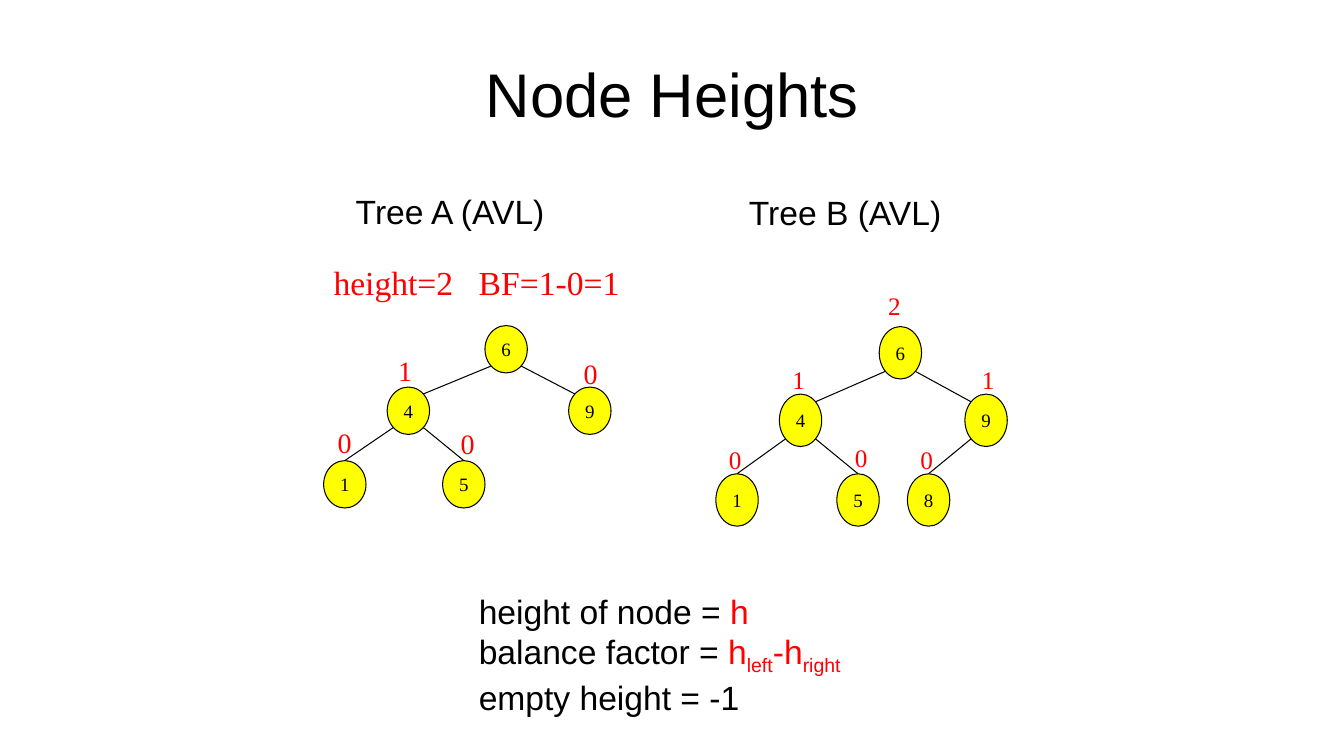
import pptx
import pptx.util
import pptx.dml.color
import pptx.enum.shapes
import pptx.enum.text
import pptx.oxml
from lxml import etree

BLACK = pptx.dml.color.RGBColor(0, 0, 0)
RED = pptx.dml.color.RGBColor(255, 0, 0)
YELLOW = pptx.dml.color.RGBColor(255, 255, 0)
SANS, SERIF = "Arial", "Times New Roman"
CELL = pptx.util.Inches(0.1)
NODE_WIDTH = 4.2
DIAGONAL = 0.354
MAIN_NS = "http://schemas.openxmlformats.org/drawingml/2006/main"


class Board:
    """Draws text and trees on a slide, measured in tenth-inch grid cells."""

    def __init__(self, slide):
        self.shapes = slide.shapes

    def cells(self, *counts):
        return [round(count * CELL) for count in counts]

    def style(self, par, size, face, color):
        par.font.size = pptx.util.Pt(size)
        par.font.name = face
        par.font.color.rgb = color

    def text(self, place, lines, size, face=SANS, color=BLACK, tab=None):
        frame = self.shapes.add_textbox(*self.cells(*place)).text_frame
        frame.word_wrap = True
        for index, line in enumerate(lines):
            par = frame.add_paragraph() if index else frame.paragraphs[0]
            if tab:
                stops = etree.SubElement(par._p.get_or_add_pPr(), f"{{{MAIN_NS}}}tabLst")
                stop = etree.SubElement(stops, f"{{{MAIN_NS}}}tab")
                stop.set("pos", str(self.cells(tab)[0]))
                stop.set("algn", "l")
            self.style(par, size, face, color)
            for words, tint, base in line:
                run = par.add_run()
                run.text = words
                if tint != color:
                    run.font.color.rgb = tint
                if base:
                    run._r.get_or_add_rPr().set("baseline", str(base))
        return frame

    def label(self, place, words, size, face=SANS, color=BLACK, tab=None):
        return self.text(place, [[(words, color, 0)]], size, face, color, tab)

    def title(self, place, words):
        frame = self.label(place, words, 44)
        frame.vertical_anchor = pptx.enum.text.MSO_ANCHOR.MIDDLE
        frame.paragraphs[0].alignment = pptx.enum.text.PP_ALIGN.CENTER

    def node(self, col, row, high, key):
        oval = self.shapes.add_shape(pptx.enum.shapes.MSO_SHAPE.OVAL,
                                     *self.cells(col, row, NODE_WIDTH, high))
        oval.shadow.inherit = False
        oval.fill.solid()
        oval.fill.fore_color.rgb = YELLOW
        oval.line.color.rgb = BLACK
        oval.line.width = pptx.util.Pt(0.75)
        frame = oval.text_frame
        frame.word_wrap = False
        frame.vertical_anchor = pptx.enum.text.MSO_ANCHOR.MIDDLE
        par = frame.paragraphs[0]
        par.alignment = pptx.enum.text.PP_ALIGN.CENTER
        self.style(par, 13.5, SERIF, BLACK)
        par.add_run().text = key
        return oval

    def rim(self, oval, across, down):
        x = oval.left + oval.width * (0.5 + across * DIAGONAL)
        y = oval.top + oval.height * (0.5 + down * DIAGONAL)
        return round(x), round(y)

    def edge(self, parent, child, leaf):
        side = 1 if child.left > parent.left else -1
        line = self.shapes.add_connector(pptx.enum.shapes.MSO_CONNECTOR.STRAIGHT,
                                         *self.rim(parent, side, 1),
                                         *self.rim(child, -side, -1))
        if leaf:
            line.end_connect(child, 0)
        line.line.color.rgb = BLACK
        line.line.width = pptx.util.Pt(0.75)
        etree.SubElement(line._element.spPr, f"{{{MAIN_NS}}}effectLst")

    def tree(self, rows, high, nodes, edges, notes, box, size):
        ovals = {key: self.node(col, rows[level], high, key)
                 for key, (level, col) in nodes.items()}
        for start, end in edges:
            self.edge(ovals[start], ovals[end], nodes[end][0] == 2)
        for words, col, row in notes:
            self.label((col, row, *box), words, size, SERIF, RED)


def main():
    deck = pptx.Presentation()
    deck.slide_width = pptx.util.Inches(13.33)
    deck.slide_height = pptx.util.Inches(7.5)
    board = Board(deck.slides.add_slide(deck.slide_layouts[6]))

    board.title((6.7, 3, 120, 12.5), "Node Heights")
    board.label((34.3, 18.4, 25.9, 5), "Tree A (AVL)", 24)
    board.label((73.3, 18.5, 30.4, 5), "Tree B (AVL)", 24)
    board.label((32.1, 25.5, 32, 5), "height=2\tBF=1-0=1", 24, SERIF, RED, 14.4)

    board.tree((32.3, 38.4, 45.7), 4.7,
               {"6": (0, 48.1), "4": (1, 38.4), "9": (1, 56.4),
                "1": (2, 32.1), "5": (2, 43.9)},
               ("64", "69", "41", "45"),
               (("1", 38.5, 34.6), ("0", 56.9, 34.9),
                ("0", 32.5, 41.7), ("0", 44.7, 41.8)),
               (3.7, 4.4), 20)
    board.tree((32.4, 39.1, 47), 5.2,
               {"6": (0, 87.2), "4": (1, 77.3), "9": (1, 95.7),
                "1": (2, 71), "5": (2, 83), "8": (2, 90)},
               ("64", "69", "41", "45", "98"),
               (("2", 87.1, 28.3), ("1", 77.6, 35.7), ("1", 96.4, 35.7),
                ("0", 71.3, 43.6), ("0", 83.8, 43.4), ("0", 90.3, 43.6)),
               (4.1, 4), 18)

    board.text((46.5, 58.1, 43.8, 13.1), [
        [("height of node = ", BLACK, 0), ("h", RED, 0)],
        [("balance factor = ", BLACK, 0), ("h", RED, 0), ("left", RED, -25000),
         ("-h", RED, 0), ("right", RED, -25000)],
        [("empty height = -1", BLACK, 0)],
    ], 24)
    deck.save("out.pptx")


if __name__ == "__main__":
    main()
